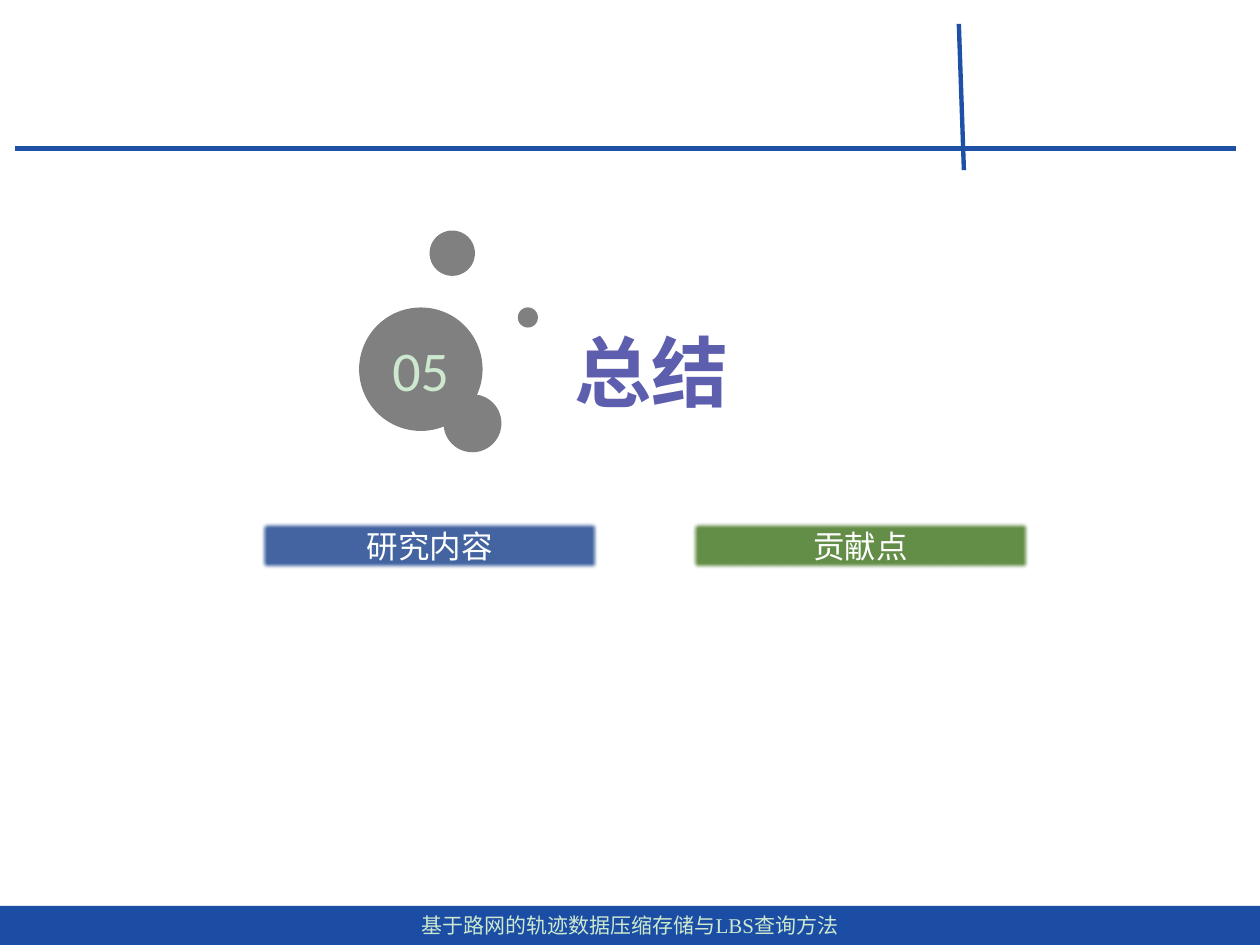
from lxml.etree import SubElement
from pptx import Presentation
from pptx.dml.color import RGBColor
from pptx.enum.shapes import MSO_CONNECTOR, MSO_SHAPE
from pptx.enum.text import MSO_ANCHOR, PP_ALIGN
from pptx.oxml.ns import qn
from pptx.util import Inches, Pt

COLORS = {
    "background": "FFFFFF",
    "rule": "1E50A6",
    "footer": "1B4DA5",
    "pale": "CCE8CF",
    "title": "5E5EAF",
    "bubble": "808080",
    "blue": "2F5597",
    "green": "548235",
    "white": "FFFFFF",
}
TITLE = "总结"
FOOTER = "基于路网的轨迹数据压缩存储与LBS查询方法"
RULES = [(0.12, 1.18, 9.81, 1.18), (7.61, 0.19, 7.65, 1.35)]
TOPICS = [("研究内容", "blue"), ("贡献点", "green")]
TOPIC_LEFT, TOPIC_TOP, TOPIC_WIDTH, TOPIC_HEIGHT, TOPIC_GAP = 2.06, 4.13, 2.7, 0.4, 0.72
BUBBLES = [
    (2.85, 2.44, 0.98, "05"),
    (3.52, 3.13, 0.46, ""),
    (3.41, 1.83, 0.36, ""),
    (4.11, 2.44, 0.16, ""),
]


def color(name):
    return RGBColor.from_string(COLORS[name])


def write(shape, text, size, font, tint, bold=False, anchor=MSO_ANCHOR.MIDDLE):
    frame = shape.text_frame
    frame.text = text
    frame.word_wrap = True
    frame.vertical_anchor = anchor
    para = frame.paragraphs[0]
    para.alignment = PP_ALIGN.CENTER
    for span in para.runs:
        span.font.size = Pt(size)
        span.font.name = font
        span.font.bold = bold
        span.font.color.rgb = color(tint)
        east_asian = SubElement(span.font._element, qn("a:ea"))
        east_asian.set("typeface", "Noto Sans CJK SC")


def add_block(slide, kind, left, top, width, height, fill):
    shape = slide.shapes.add_shape(
        kind, Inches(left), Inches(top), Inches(width), Inches(height))
    shape.shadow.inherit = False
    shape.fill.solid()
    shape.fill.fore_color.rgb = color(fill)
    shape.line.fill.background()
    return shape


def soften(shape):
    properties = shape.element.spPr
    tint = properties.find(qn("a:solidFill")).find(qn("a:srgbClr"))
    SubElement(tint, qn("a:alpha")).set("val", "90000")
    effects = properties.find(qn("a:effectLst"))
    SubElement(effects, qn("a:softEdge")).set("rad", str(Pt(2.5)))


def add_rule(slide, points):
    rule = slide.shapes.add_connector(
        MSO_CONNECTOR.STRAIGHT, *[Inches(value) for value in points])
    rule.line.color.rgb = color("rule")
    rule.line.width = Pt(2.5)
    SubElement(rule._element.spPr, qn("a:effectLst"))


def main():
    deck = Presentation()
    deck.slide_width, deck.slide_height = Inches(10), Inches(7.5)
    slide = deck.slides.add_slide(deck.slide_layouts.get_by_name("Title Only"))
    slide.background.fill.solid()
    slide.background.fill.fore_color.rgb = color("background")

    for points in RULES:
        add_rule(slide, points)

    footer = add_block(slide, MSO_SHAPE.RECTANGLE, 0, 7.19, 10, 0.31, "footer")
    write(footer, FOOTER, 12, "Times New Roman", "pale")

    title = slide.shapes.title
    title.left, title.top = Inches(2.55), Inches(2.08)
    title.width, title.height = Inches(5.25), Inches(1.72)
    write(title, TITLE, 44, "Noto Sans CJK SC", "title", bold=True)

    for index, (text, fill) in enumerate(TOPICS):
        left = TOPIC_LEFT + index * (TOPIC_WIDTH + TOPIC_GAP)
        topic = add_block(slide, MSO_SHAPE.RECTANGLE, left, TOPIC_TOP,
                          TOPIC_WIDTH, TOPIC_HEIGHT, fill)
        soften(topic)
        write(topic, text, 18, "Times New Roman", "white", anchor=MSO_ANCHOR.TOP)

    for left, top, size, text in BUBBLES:
        bubble = add_block(slide, MSO_SHAPE.FLOWCHART_CONNECTOR,
                           left, top, size, size, "bubble")
        if text:
            write(bubble, text, 32, "Calibri", "pale")

    deck.save("out.pptx")


if __name__ == "__main__":
    main()
